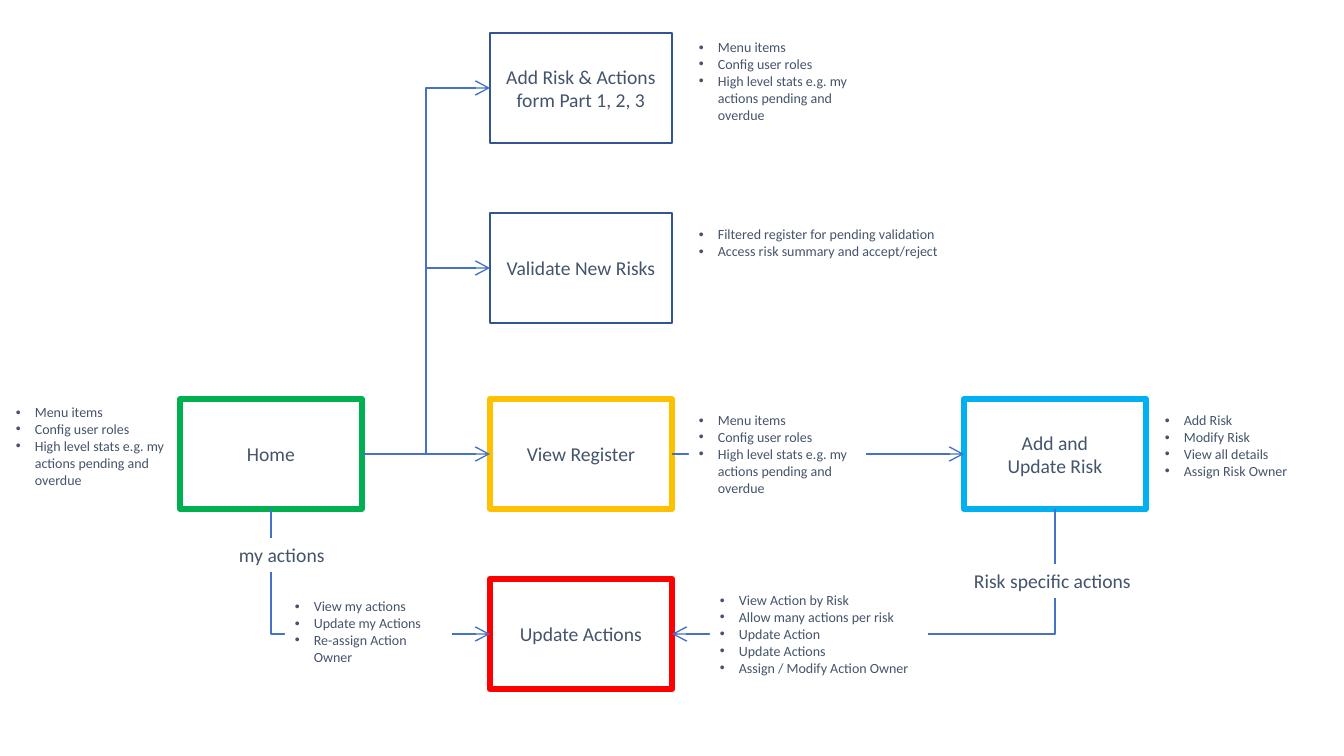
from dataclasses import dataclass
from lxml.etree import SubElement as Sub
from pptx import Presentation
from pptx.dml.color import RGBColor as Rgb
from pptx.enum.shapes import MSO_CONNECTOR as Link, MSO_SHAPE as Kind
from pptx.enum.text import MSO_ANCHOR as Anchor, MSO_AUTO_SIZE as Fit, PP_ALIGN as Align
from pptx.oxml.ns import qn
from pptx.util import Pt


@dataclass(frozen=True)
class Theme:
    font: str = "Calibri"
    text: str = "44546A"
    wire: str = "4472C4"
    edge: str = "325491"
    mask: str = "FFFFFF"
    home: str = "00B050"
    view: str = "FFC000"
    act: str = "FF0000"
    risk: str = "00B0F0"
    big: int = 14
    small: int = 10


theme = Theme()
SCALE = 914400 / 100.8


def px(*nums):
    return [round(num * SCALE) for num in nums]


def style(para, size):
    para.font.name = theme.font
    para.font.size = Pt(size)
    para.font.color.rgb = Rgb.from_string(theme.text)


deck = Presentation()
deck.slide_width, deck.slide_height = px(1344, 756)
slide = deck.slides.add_slide(deck.slide_layouts[6])
shapes = slide.shapes

boxes = {}
for name, text, left, top, color, width in [
    ("home", "Home", 180, 399, theme.home, 3.75),
    ("form", "Add Risk & Actions\vform Part 1, 2, 3", 490, 33, theme.edge, 1),
    ("check", "Validate New Risks", 490, 213, theme.edge, 1),
    ("view", "View Register", 490, 399, theme.view, 4.25),
    ("act", "Update Actions", 490, 579, theme.act, 4.75),
    ("risk", "Add and\vUpdate Risk", 964, 399, theme.risk, 4.25),
]:
    box = shapes.add_shape(Kind.RECTANGLE, *px(left, top, 182, 110))
    box.shadow.inherit = False
    box.fill.background()
    box.line.color.rgb = Rgb.from_string(color)
    box.line.width = Pt(width)
    frame = box.text_frame
    frame.word_wrap = True
    frame.vertical_anchor = Anchor.MIDDLE
    frame.text = text
    para = frame.paragraphs[0]
    para.alignment = Align.CENTER
    style(para, theme.big)
    boxes[name] = box

TOP, LEFT, BASE, RIGHT = range(4)
for start, out, end, into, kind in [
    ("home", RIGHT, "form", LEFT, Link.ELBOW),
    ("home", RIGHT, "check", LEFT, Link.ELBOW),
    ("home", RIGHT, "view", LEFT, Link.STRAIGHT),
    ("view", RIGHT, "risk", LEFT, Link.STRAIGHT),
    ("home", BASE, "act", LEFT, Link.ELBOW),
    ("risk", BASE, "act", RIGHT, Link.ELBOW),
]:
    wire = shapes.add_connector(kind, 0, 0, 0, 0)
    wire.begin_connect(boxes[start], out)
    wire.end_connect(boxes[end], into)
    wire.line.color.rgb = Rgb.from_string(theme.wire)
    wire.line.width = Pt(1)
    props = wire._element.spPr
    if out == BASE:
        east = wire.end_x > wire.begin_x
        mid_x = (wire.begin_x + wire.end_x) // 2
        mid_y = (wire.begin_y + wire.end_y) // 2
        wide, high = wire.height, wire.width
        wire.left, wire.top = mid_x - wide // 2, mid_y - high // 2
        wire.width, wire.height = wide, high
        form = props.find(qn("a:xfrm"))
        form.set("rot", str((270 if east else 90) * 60000))
        form.set("flipH", str(int(east)))
        form.set("flipV", "0")
        props.find(qn("a:prstGeom")).set("prst", "bentConnector2")
    Sub(props.find(qn("a:ln")), qn("a:tailEnd"), type="arrow", w="lg", len="lg")
    Sub(props, qn("a:effectLst"))

menu = [
    "Menu items",
    "Config user roles",
    "High level stats e.g. my actions pending and overdue",
]
for lines, left, top, width, height, size, mask in [
    (["my actions"], 229, 538, 113, 34, theme.big, True),
    (["Risk specific actions"], 964, 564, 218, 34, theme.big, True),
    (menu, 6, 399, 177, 95, theme.small, False),
    (menu, 689, 34, 177, 95, theme.small, False),
    (menu, 689, 407, 177, 95, theme.small, True),
    (["Filtered register for pending validation",
      "Access risk summary and accept/reject"],
     689, 221, 274, 44, theme.small, False),
    (["Add Risk", "Modify Risk", "View all details", "Assign Risk Owner"],
     1155, 407, 177, 78, theme.small, True),
    (["View Action by Risk", "Allow many actions per risk", "Update Action",
      "Update Actions", "Assign / Modify Action Owner"],
     710, 587, 218, 95, theme.small, True),
    (["View my actions", "Update my Actions", "Re-assign Action Owner"],
     285, 593, 167, 78, theme.small, True),
]:
    note = shapes.add_textbox(*px(left, top, width, height))
    if mask:
        note.fill.solid()
        note.fill.fore_color.rgb = Rgb.from_string(theme.mask)
    frame = note.text_frame
    frame.word_wrap = True
    frame.auto_size = Fit.SHAPE_TO_FIT_TEXT
    frame.text = "\n".join(lines)
    for para in frame.paragraphs:
        style(para, size)
        if size == theme.small:
            props = para._p.get_or_add_pPr()
            dent = px(19)[0]
            props.set("marL", str(dent))
            props.set("indent", str(-dent))
            mark = Sub(props, qn("a:buFont"), typeface="Arial")
            mark.addnext(props.makeelement(qn("a:buChar"), char="•"))
            props.append(props.find(qn("a:defRPr")))

deck.save("out.pptx")
